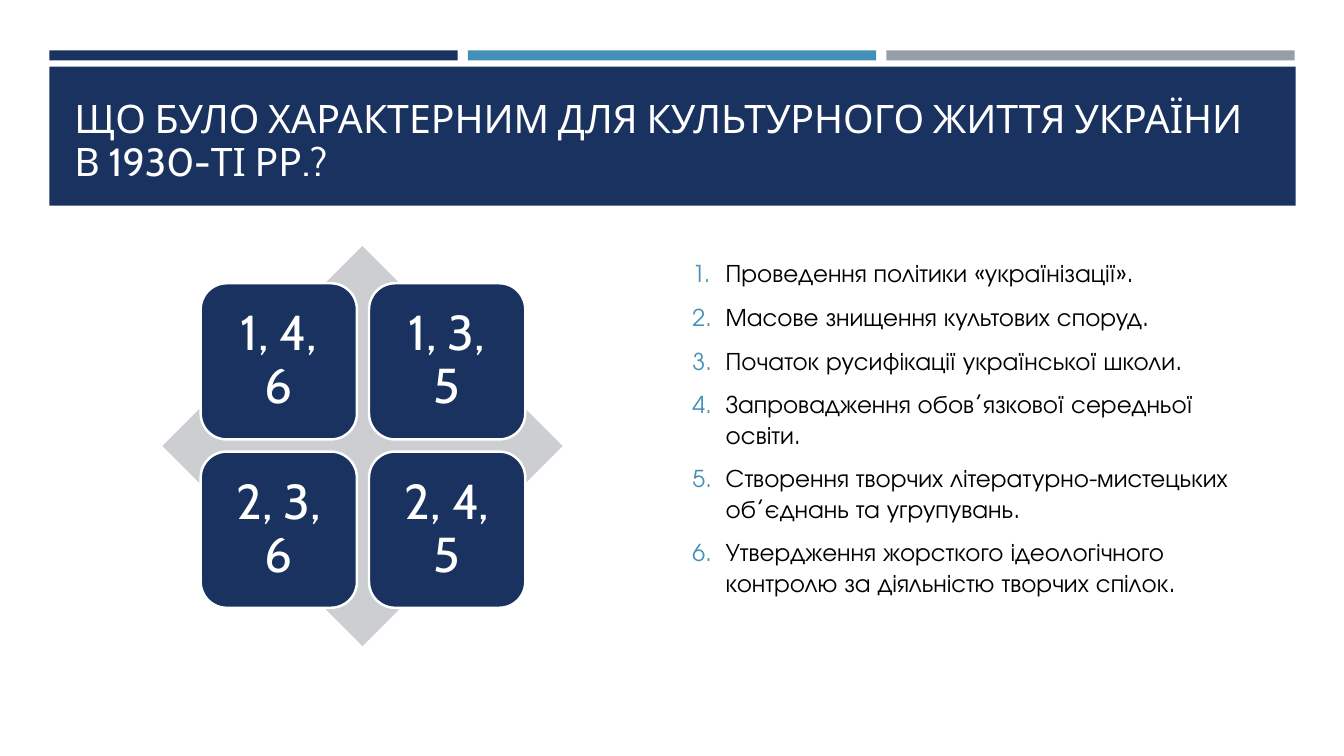
from dataclasses import dataclass

from lxml import etree
from pptx import Presentation
from pptx.dml.color import RGBColor
from pptx.enum.shapes import MSO_SHAPE
from pptx.enum.text import MSO_ANCHOR, PP_ALIGN
from pptx.oxml.ns import qn
from pptx.shapes.autoshape import Shape
from pptx.slide import Slide
from pptx.text.text import TextFrame, _Paragraph
from pptx.util import Inches, Pt

RECTANGLE = MSO_SHAPE.RECTANGLE
DIAMOND = MSO_SHAPE.DIAMOND
ROUNDED = MSO_SHAPE.ROUNDED_RECTANGLE
MIDDLE = MSO_ANCHOR.MIDDLE
BOTTOM = MSO_ANCHOR.BOTTOM
CENTER = PP_ALIGN.CENTER

NAVY = RGBColor(0x1A, 0x32, 0x60)
BLUE = RGBColor(0x45, 0x90, 0xB8)
GRAY = RGBColor(0x96, 0x9F, 0xA7)
PALE_GRAY = RGBColor(0xCD, 0xCE, 0xD2)
WHITE = RGBColor(0xFF, 0xFF, 0xFF)
BLACK = RGBColor(0x00, 0x00, 0x00)

HEADING_FONT = "Cabin"
BODY_FONT = "TeX Gyre Adventor"

TITLE = "ЩО БУЛО ХАРАКТЕРНИМ ДЛЯ КУЛЬТУРНОГО ЖИТТЯ УКРАЇНИ В 1930-ТІ РР.?"
ANSWERS = ["1, 4, 6", "1, 3, 5", "2, 3, 6", "2, 4, 5"]
STATEMENTS = [
    "Проведення політики «українізації».",
    "Масове знищення культових споруд.",
    "Початок русифікації української школи.",
    "Запровадження обов’язкової середньої освіти.",
    "Створення творчих літературно-мистецьких об’єднань та угрупувань.",
    "Утвердження жорсткого ідеологічного контролю за діяльністю творчих спілок.",
]


@dataclass(frozen=True)
class Box:
    left: float
    top: float
    width: float
    height: float


MARGIN = 0.49
BAR_STEP = 4.15
BAR_COLORS = [NAVY, BLUE, GRAY]
BANNER = Box(MARGIN, 0.66, 12.36, 1.38)
TITLE_BOX = Box(0.64, 0.8, 12.06, 1.08)
DIAMOND_BOX = Box(1.61, 2.44, 3.97, 3.97)
LIST_BOX = Box(6.77, 2.44, 5.93, 3.6)
TILE_LEFT, TILE_TOP, TILE_SIZE, TILE_STEP = 1.99, 2.81, 1.55, 1.67


def add_filled_shape(slide: Slide, kind: MSO_SHAPE, box: Box, color: RGBColor) -> Shape:
    shape = slide.shapes.add_shape(
        kind, Inches(box.left), Inches(box.top), Inches(box.width), Inches(box.height)
    )
    shape.shadow.inherit = False
    shape.fill.solid()
    shape.fill.fore_color.rgb = color
    shape.line.fill.background()
    return shape


def add_text_frame(slide: Slide, box: Box, anchor: MSO_ANCHOR) -> TextFrame:
    text_box = slide.shapes.add_textbox(
        Inches(box.left), Inches(box.top), Inches(box.width), Inches(box.height)
    )
    text_frame = text_box.text_frame
    text_frame.word_wrap = True
    text_frame.vertical_anchor = anchor
    return text_frame


def format_runs(paragraph: _Paragraph, font: str, size: float, color: RGBColor) -> None:
    for run in paragraph.runs:
        run.font.name = font
        run.font.size = Pt(size)
        run.font.color.rgb = color


def add_number(paragraph: _Paragraph) -> None:
    """Give the paragraph a hanging automatic number in blue."""
    properties = paragraph._p.get_or_add_pPr()
    properties.set("marL", str(Inches(0.33)))
    properties.set("indent", str(-Inches(0.33)))
    color = etree.SubElement(properties, qn("a:buClr"))
    etree.SubElement(color, qn("a:srgbClr"), val=str(BLUE))
    etree.SubElement(properties, qn("a:buSzPct"), val="92000")
    etree.SubElement(properties, qn("a:buFont"), typeface="+mj-lt")
    etree.SubElement(properties, qn("a:buAutoNum"), type="arabicPeriod")


def add_header(slide: Slide) -> None:
    for index, color in enumerate(BAR_COLORS):
        bar = Box(MARGIN + index * BAR_STEP, 0.5, 4.05, 0.1)
        add_filled_shape(slide, RECTANGLE, bar, color)
    add_filled_shape(slide, RECTANGLE, BANNER, NAVY)
    text_frame = add_text_frame(slide, TITLE_BOX, BOTTOM)
    text_frame.text = TITLE
    paragraph = text_frame.paragraphs[0]
    paragraph.line_spacing = 0.9
    format_runs(paragraph, HEADING_FONT, 28, WHITE)


def add_answer_matrix(slide: Slide) -> None:
    add_filled_shape(slide, DIAMOND, DIAMOND_BOX, PALE_GRAY)
    for index, answer in enumerate(ANSWERS):
        row, column = divmod(index, 2)
        box = Box(
            TILE_LEFT + column * TILE_STEP, TILE_TOP + row * TILE_STEP, TILE_SIZE, TILE_SIZE
        )
        tile = add_filled_shape(slide, ROUNDED, box, NAVY)
        tile.line.color.rgb = WHITE
        tile.line.width = Pt(1.75)
        text_frame = tile.text_frame
        text_frame.word_wrap = True
        text_frame.vertical_anchor = MIDDLE
        text_frame.margin_left = text_frame.margin_right = Inches(0.15)
        text_frame.margin_top = text_frame.margin_bottom = Inches(0.15)
        text_frame.text = answer
        paragraph = text_frame.paragraphs[0]
        paragraph.alignment = CENTER
        paragraph.line_spacing = 0.9
        format_runs(paragraph, HEADING_FONT, 35, WHITE)


def add_statements(slide: Slide) -> None:
    text_frame = add_text_frame(slide, LIST_BOX, MIDDLE)
    text_frame.text = "\n".join(STATEMENTS)
    for index, paragraph in enumerate(text_frame.paragraphs):
        add_number(paragraph)
        paragraph.space_before = Pt(3.6 if index else 0)
        paragraph.space_after = Pt(6)
        format_runs(paragraph, BODY_FONT, 18, BLACK)


def main() -> None:
    presentation = Presentation()
    presentation.slide_width = Inches(13.33)
    presentation.slide_height = Inches(7.5)
    slide = presentation.slides.add_slide(presentation.slide_layouts[6])
    add_header(slide)
    add_answer_matrix(slide)
    add_statements(slide)
    presentation.save("out.pptx")


if __name__ == "__main__":
    main()
